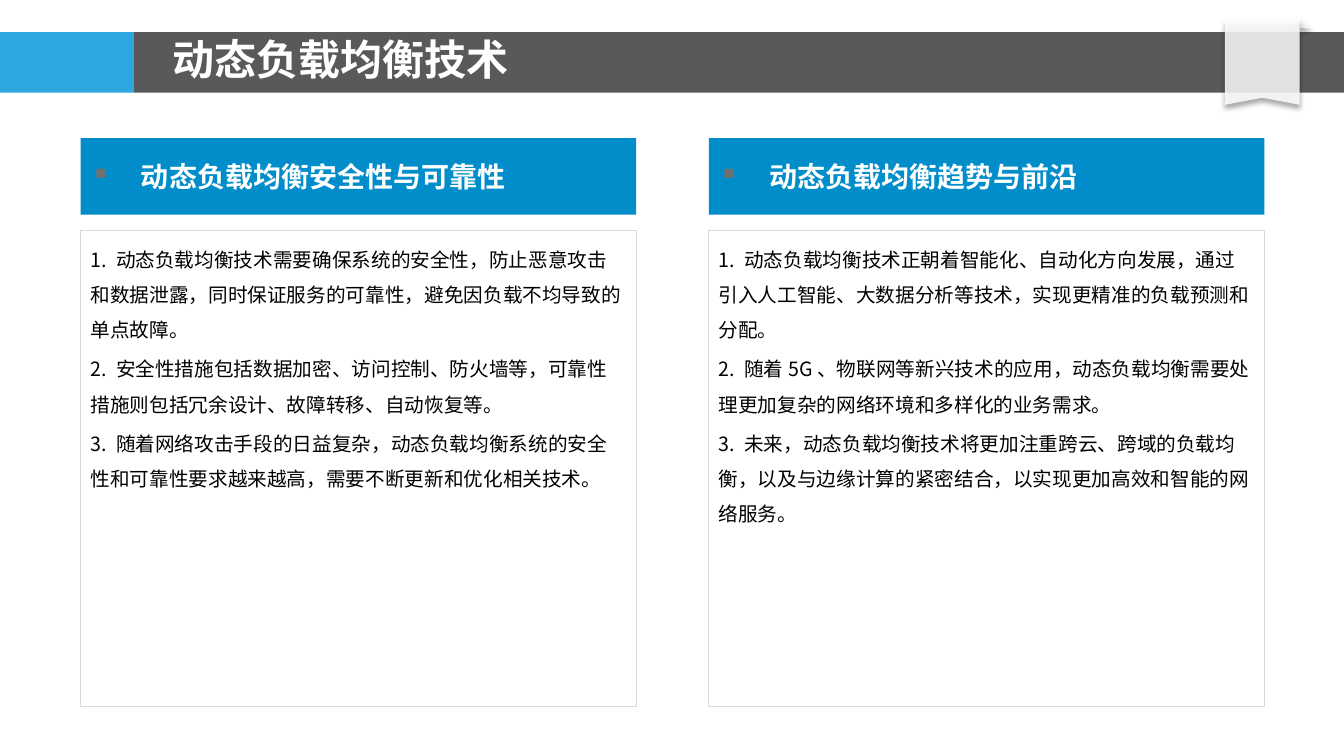
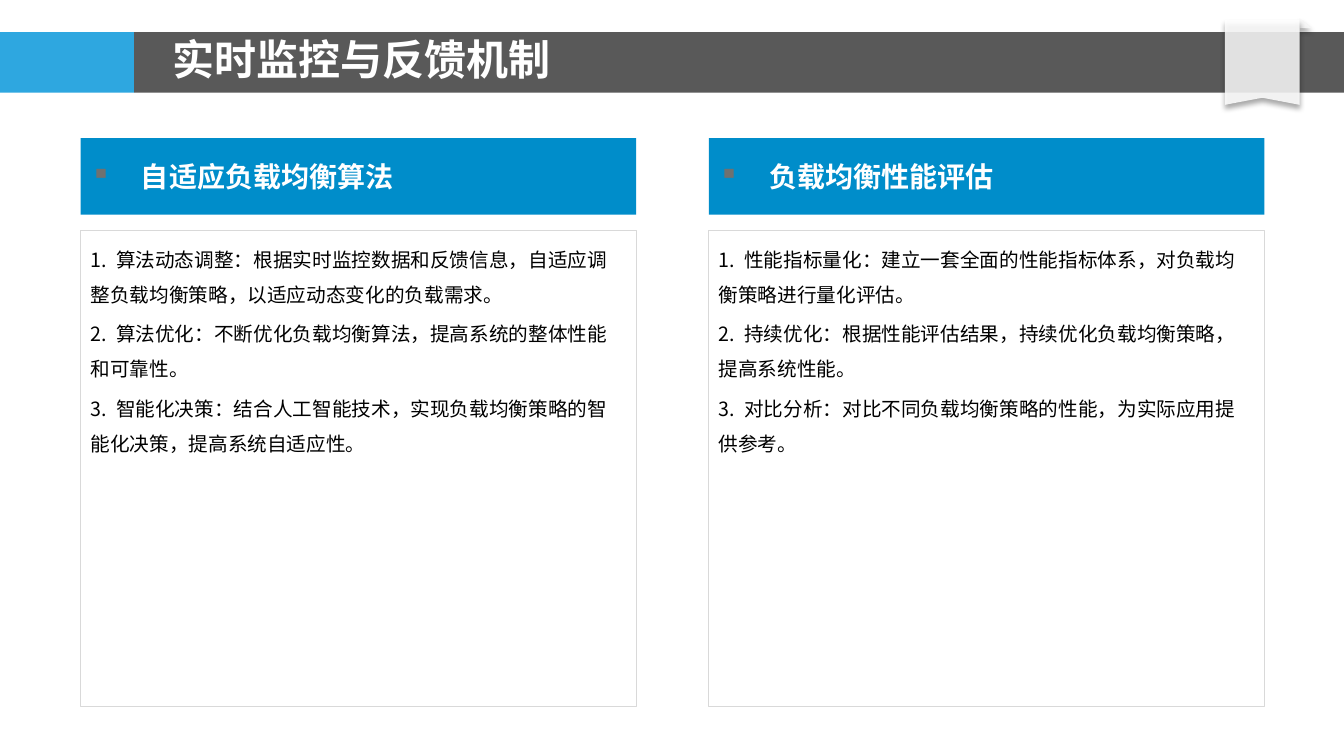
"""Builds two title-and-two-column slides about dynamic load balancing."""
from lxml.etree import SubElement
from pptx import Presentation
from pptx.dml.color import RGBColor
from pptx.enum.lang import MSO_LANGUAGE_ID as Lang
from pptx.enum.shapes import MSO_SHAPE as Shape
from pptx.enum.text import MSO_ANCHOR as Anchor, MSO_AUTO_SIZE as AutoSize, PP_ALIGN as Align
from pptx.oxml.ns import qn
from pptx.util import Inches, Pt

FONT = "Noto Sans CJK SC"
WHITE = RGBColor(0xFF, 0xFF, 0xFF)
BLACK = RGBColor(0x00, 0x00, 0x00)
SKY = RGBColor(0x2E, 0xA7, 0xE0)
GRAPHITE = RGBColor(0x59, 0x59, 0x59)
FOLD = RGBColor(0xF8, 0xF8, 0xF8)
BLUE = RGBColor(0x00, 0x8D, 0xCA)
BORDER = RGBColor(0xD9, 0xD9, 0xD9)
BULLET = RGBColor(0x6F, 0x71, 0x70)

SLIDES = [
    ("动态负载均衡技术", [
        ("动态负载均衡安全性与可靠性", [
            "1. 动态负载均衡技术需要确保系统的安全性，防止恶意攻击和数据泄露，同时保证服务的可靠性，避免因负载不均导致的单点故障。",
            "2. 安全性措施包括数据加密、访问控制、防火墙等，可靠性措施则包括冗余设计、故障转移、自动恢复等。",
            "3. 随着网络攻击手段的日益复杂，动态负载均衡系统的安全性和可靠性要求越来越高，需要不断更新和优化相关技术。",
        ]),
        ("动态负载均衡趋势与前沿", [
            "1. 动态负载均衡技术正朝着智能化、自动化方向发展，通过引入人工智能、大数据分析等技术，实现更精准的负载预测和分配。",
            "2. 随着5G、物联网等新兴技术的应用，动态负载均衡需要处理更加复杂的网络环境和多样化的业务需求。",
            "3. 未来，动态负载均衡技术将更加注重跨云、跨域的负载均衡，以及与边缘计算的紧密结合，以实现更加高效和智能的网络服务。",
        ]),
    ]),
    ("实时监控与反馈机制", [
        ("自适应负载均衡算法", [
            "1. 算法动态调整：根据实时监控数据和反馈信息，自适应调整负载均衡策略，以适应动态变化的负载需求。",
            "2. 算法优化：不断优化负载均衡算法，提高系统的整体性能和可靠性。",
            "3. 智能化决策：结合人工智能技术，实现负载均衡策略的智能化决策，提高系统自适应性。",
        ]),
        ("负载均衡性能评估", [
            "1. 性能指标量化：建立一套全面的性能指标体系，对负载均衡策略进行量化评估。",
            "2. 持续优化：根据性能评估结果，持续优化负载均衡策略，提高系统性能。",
            "3. 对比分析：对比不同负载均衡策略的性能，为实际应用提供参考。",
        ]),
    ]),
]

TITLE_FONT = {"size": Pt(30), "bold": True}
HEADING_FONT = {"size": Pt(20), "bold": True}
BODY_FONT = {"size": Pt(14), "bold": False}
TITLE_FRAME = {"margin_left": 0, "margin_right": 0, "margin_top": 0, "margin_bottom": 0,
               "vertical_anchor": Anchor.MIDDLE, "auto_size": AutoSize.NONE, "word_wrap": True}
HEADING_FRAME = {"vertical_anchor": Anchor.MIDDLE, "word_wrap": True}
BODY_FRAME = {"vertical_anchor": Anchor.TOP, "word_wrap": True}
TITLE_PARAGRAPH = {"alignment": Align.LEFT}
HEADING_PARAGRAPH = {"alignment": Align.LEFT, "space_before": Pt(4)}
BODY_PARAGRAPH = {"alignment": Align.LEFT, "space_before": Pt(2.8), "line_spacing": 1.5}

SLIDE_WIDTH, SLIDE_HEIGHT = 13.33, 7.5
TITLE_BOX = (1.71, 0.3, 11.62, 0.57)
BAND_TOP, BAND_HEIGHT, BAND_SPLIT = 0.32, 0.6, 1.33
RIBBON_LEFT, RIBBON_TOP, RIBBON_RIGHT, RIBBON_BOTTOM, RIBBON_NOTCH = 12.15, 0.2, 12.89, 1.04, 0.97
COLUMN_LEFT, COLUMN_STEP, COLUMN_WIDTH = 0.8, 6.23, 5.51
HEADING_TOP, HEADING_HEIGHT = 1.37, 0.76
BODY_TOP, BODY_HEIGHT = 2.29, 4.72


def apply(target, values):
    for name, value in values.items():
        setattr(target, name, value)


def paint(shape, fill=None, line=None):
    shape.shadow.inherit = False
    if fill is None:
        shape.fill.background()
    else:
        shape.fill.solid()
        shape.fill.fore_color.rgb = fill
    if line is None:
        shape.line.fill.background()
    else:
        shape.line.color.rgb = line
        shape.line.width = Pt(0.75)
    return shape


def add_block(slide, box, fill=None, line=None, kind=Shape.RECTANGLE):
    return paint(slide.shapes.add_shape(kind, *map(Inches, box)), fill, line)


def write(shape, texts, color, font_format, frame_format, paragraph_format):
    frame = shape.text_frame
    frame.text = "\n".join(texts)
    apply(frame, frame_format)
    for paragraph in frame.paragraphs:
        apply(paragraph, paragraph_format)
        for run in paragraph.runs:
            apply(run.font, {"name": FONT, "language_id": Lang.SIMPLIFIED_CHINESE, **font_format})
            run.font.color.rgb = color
            SubElement(run.font._element, qn("a:ea"), typeface=FONT)


def add_bullet(paragraph):
    properties = paragraph._p.get_or_add_pPr()
    properties.set("marL", str(Inches(0.5)))
    properties.set("indent", str(-Inches(0.5)))
    color = SubElement(properties, qn("a:buClr"))
    SubElement(color, qn("a:srgbClr"), val=str(BULLET))
    SubElement(properties, qn("a:buChar"), char="▪")


def make_translucent(shape):
    properties = shape._element.spPr
    color = properties.find(qn("a:solidFill")).find(qn("a:srgbClr"))
    SubElement(color, qn("a:alpha"), val="85000")
    shadow = SubElement(properties.find(qn("a:effectLst")), qn("a:outerShdw"), blurRad=str(Pt(4)),
                        dist=str(Pt(3)), dir="5400000", algn="t", rotWithShape="0")
    shade = SubElement(shadow, qn("a:srgbClr"), val=str(BLACK))
    SubElement(shade, qn("a:alpha"), val="40000")


def add_header(slide, layout):
    """Draws the bands and ribbon and hands them to the shared layout."""
    left_band = add_block(slide, (0, BAND_TOP, BAND_SPLIT, BAND_HEIGHT), SKY)
    title_band = add_block(slide, (BAND_SPLIT, BAND_TOP, SLIDE_WIDTH - BAND_SPLIT, BAND_HEIGHT), GRAPHITE)
    fold = add_block(slide, (RIBBON_RIGHT, 0.18, 0.12, 0.1), FOLD, kind=Shape.RIGHT_TRIANGLE)
    outline = [(RIBBON_LEFT, RIBBON_BOTTOM), (RIBBON_LEFT, RIBBON_TOP), (RIBBON_RIGHT, RIBBON_TOP),
               (RIBBON_RIGHT, RIBBON_BOTTOM), ((RIBBON_LEFT + RIBBON_RIGHT) / 2, RIBBON_NOTCH)]
    corners = [(Inches(x), Inches(y)) for x, y in outline]
    builder = slide.shapes.build_freeform(*corners[0])
    builder.add_line_segments(corners[1:], close=True)
    ribbon = paint(builder.convert_to_shape(), WHITE)
    for part in (fold, ribbon):
        make_translucent(part)
    for part in (left_band, title_band, fold, ribbon):
        layout.shapes.element.append(part._element)


def add_column(slide, index, heading, points):
    left = COLUMN_LEFT + index * COLUMN_STEP
    heading_bar = add_block(slide, (left, HEADING_TOP, COLUMN_WIDTH, HEADING_HEIGHT), BLUE)
    write(heading_bar, [heading], WHITE, HEADING_FONT, HEADING_FRAME, HEADING_PARAGRAPH)
    add_bullet(heading_bar.text_frame.paragraphs[0])
    body_panel = add_block(slide, (left, BODY_TOP, COLUMN_WIDTH, BODY_HEIGHT), line=BORDER)
    write(body_panel, points, BLACK, BODY_FONT, BODY_FRAME, BODY_PARAGRAPH)


def main():
    deck = Presentation()
    deck.slide_width, deck.slide_height = Inches(SLIDE_WIDTH), Inches(SLIDE_HEIGHT)
    layout = deck.slide_layouts[5]
    for number, (heading, columns) in enumerate(SLIDES):
        slide = deck.slides.add_slide(layout)
        if number == 0:
            add_header(slide, layout)
        title = slide.shapes.title
        apply(title, dict(zip(("left", "top", "width", "height"), map(Inches, TITLE_BOX))))
        write(title, [heading], WHITE, TITLE_FONT, TITLE_FRAME, TITLE_PARAGRAPH)
        for index, column in enumerate(columns):
            add_column(slide, index, *column)
    deck.save("out.pptx")


if __name__ == "__main__":
    main()
